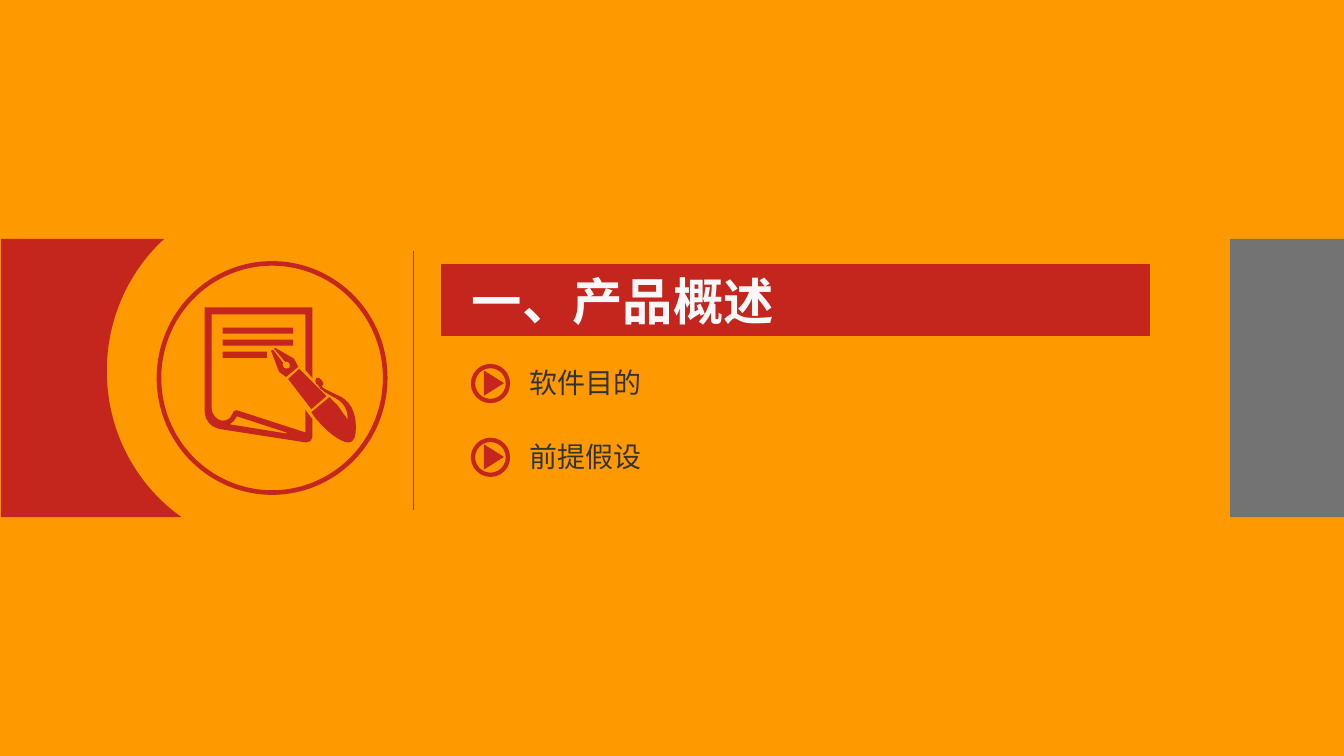
from dataclasses import dataclass
from lxml.etree import SubElement
from pptx import Presentation
from pptx.dml.color import RGBColor
from pptx.enum.shapes import MSO_CONNECTOR, MSO_SHAPE
from pptx.enum.text import MSO_ANCHOR, MSO_AUTO_SIZE, PP_ALIGN
from pptx.oxml.ns import qn
from pptx.util import Cm, Pt


@dataclass(frozen=True)
class Theme:
    back: RGBColor = RGBColor(0xFF, 0x99, 0x00)
    red: RGBColor = RGBColor(0xC4, 0x26, 0x1D)
    gray: RGBColor = RGBColor(0x73, 0x73, 0x73)
    light: RGBColor = RGBColor(0xF8, 0xF8, 0xF8)
    dark: RGBColor = RGBColor(0x33, 0x33, 0x33)
    head: Pt = Pt(36)
    item: Pt = Pt(20)
    gap: Pt = Pt(28.6)
    rule: Pt = Pt(0.75)
    cjk: str = "Noto Sans CJK SC"
    latin: str = "Arial"


THEME = Theme()
TITLE = "一、产品概述"
ITEMS = ["软件目的", "前提假设"]

# Places in cm: left, top, width, height
BAR = (11.14, 6.66, 17.83, 1.8)
BLOCK = (31.01, 6.02, 2.87, 7.01)
RING = (3.95, 6.58, 5.82, 5.89)
LIST = (13.34, 9.22, 12, 3)
MARK = (11.87, 9.17, 0.99, 0.99)
ARROW = (12.13, 9.4, 0.64, 0.51)
PITCH = 1.86
RULE_X, RULE_TOP, RULE_END = 10.43, 6.32, 12.85

# Outlines on a grid of 0.0254 cm: a pair is a corner,
# six numbers are a curve with two handles and its end.
UNIT = Cm(2.54) / 100


def box(left, top, right, end):
    return [(left, top), (right, top), (right, end), (left, end)]


WING = [[
    (1, 237), (163, 237), (128, 269, 106, 316, 106, 368),
    (106, 428, 135, 481, 180, 513), (1, 513),
]]
LINES = [box(221, 349, 265, 355), box(221, 337, 291, 343), box(221, 325, 291, 331)]
PAGE = [
    (203, 403), (203, 409, 203, 414, 207, 419), (210, 423, 214, 425, 220, 426),
    (304, 439), (307, 439, 310, 437, 310, 434), (310, 416),
    (308, 413, 305, 410, 303, 406), (303, 429), (235, 407),
    (234, 407, 233, 407, 232, 408), (231, 411, 229, 413, 228, 415),
    (223, 419, 217, 418, 213, 413), (210, 409, 210, 406, 210, 402),
    (210, 312), (303, 312), (303, 367), (310, 375), (310, 305), (203, 305),
]
FOLD = [
    (228, 421), (284, 430), (285, 430, 285, 429, 284, 429), (235, 413),
    (233, 417, 231, 419, 228, 421),
]
BARREL = [(297, 366), (324, 393), (309, 406), (286, 376)]
CAP = [
    (352, 434), (353, 432, 353, 431, 353, 429), (354, 417, 352, 400, 337, 393),
    (333, 391, 324, 387, 321, 385), (320, 384, 319, 384, 319, 383),
    (319, 383, 320, 383, 320, 383), (322, 381, 321, 379, 319, 377),
    (318, 375, 315, 374, 314, 375), (312, 376, 313, 379, 314, 381),
    (315, 382, 315, 382, 316, 382), (316, 383, 316, 384, 317, 384),
    (317, 385, 318, 386, 320, 387), (323, 390, 328, 392, 333, 395),
    (342, 400, 345, 407, 345, 415), (345, 416, 345, 416, 344, 415),
    (343, 414, 343, 414, 343, 413), (340, 410, 338, 406, 335, 402),
    (332, 399, 329, 397, 327, 394), (309, 409),
    (311, 412, 313, 415, 316, 418), (326, 430, 338, 438, 345, 439),
    (349, 439, 351, 437, 352, 434),
]
NIB = [
    (292, 356), (273, 345), (272, 346), (283, 359),
    (284, 358, 286, 359, 287, 360), (288, 362, 288, 364, 287, 365),
    (285, 366, 283, 366, 282, 365), (280, 363, 280, 361, 281, 360),
    (271, 347), (269, 348), (277, 369), (284, 374), (296, 364),
]
ICON = LINES + [PAGE, FOLD, BARREL, CAP, NIB]


def trace(outline):
    """List every corner, handle and curve end in EMU."""
    flat = [round(value * UNIT) for part in outline for value in part]
    return list(zip(flat[::2], flat[1::2]))


def bend(shape, outlines):
    """Join the three segments of each curve into one cubic."""
    nodes = shape._element.iter(qn("a:moveTo"), qn("a:lnTo"))
    nodes = iter(list(nodes))
    for outline in outlines:
        for part in outline:
            node = next(nodes)
            if len(part) == 6:
                node.tag = qn("a:cubicBezTo")
                for spare in (next(nodes), next(nodes)):
                    node.append(spare[0])
                    spare.getparent().remove(spare)


def paint(shape, color):
    shape.shadow.inherit = False
    shape.fill.solid()
    shape.fill.fore_color.rgb = color
    shape.line.fill.background()


def draw(slide, outlines):
    first, *rest = [trace(outline) for outline in outlines]
    pen = slide.shapes.build_freeform(*first[0])
    pen.add_line_segments(first[1:])
    for dots in rest:
        pen.move_to(*dots[0])
        pen.add_line_segments(dots[1:])
    shape = pen.convert_to_shape()
    bend(shape, outlines)
    paint(shape, THEME.red)


def add(slide, kind, place, color=THEME.red, down=0):
    left, top, width, height = place
    shape = slide.shapes.add_shape(kind, Cm(left), Cm(top + down), Cm(width), Cm(height))
    paint(shape, color)
    return shape


def fit(holder, place, inset, anchor):
    holder.left, holder.top, holder.width, holder.height = map(Cm, place)
    frame = holder.text_frame
    frame.auto_size = MSO_AUTO_SIZE.NONE
    frame.word_wrap = True
    frame.vertical_anchor = anchor
    frame.margin_left = Cm(inset)
    frame.margin_right = frame.margin_top = frame.margin_bottom = 0
    return frame


def style(para, size, color, latin, bold=False):
    para.alignment = PP_ALIGN.LEFT
    for run in para.runs:
        font = run.font
        font.size, font.bold, font.name = size, bold, latin
        font.color.rgb = color
        SubElement(run._r.rPr, qn("a:ea")).set("typeface", THEME.cjk)


def add_title(slide):
    title = slide.shapes.title
    frame = fit(title, BAR, 0.75, MSO_ANCHOR.MIDDLE)
    paint(title, THEME.red)
    title.line.color.rgb = THEME.red
    title.line.width = THEME.rule
    frame.text = TITLE
    style(frame.paragraphs[0], THEME.head, THEME.light, THEME.cjk, True)


def add_list(slide):
    frame = fit(slide.placeholders[1], LIST, 0, MSO_ANCHOR.TOP)
    frame.text = "\n".join(ITEMS)
    for row, para in enumerate(frame.paragraphs):
        para.space_before = THEME.gap if row else Pt(0)
        style(para, THEME.item, THEME.dark, THEME.latin)
        props = para._p.get_or_add_pPr()
        props.set("marL", "0")
        props.set("indent", "0")
        SubElement(props, qn("a:buNone"))
        down = row * PITCH
        add(slide, MSO_SHAPE.DONUT, MARK, down=down).adjustments[0] = 0.11
        add(slide, MSO_SHAPE.ISOSCELES_TRIANGLE, ARROW, down=down).rotation = 90


def add_rule(slide):
    rule = slide.shapes.add_connector(
        MSO_CONNECTOR.STRAIGHT, Cm(RULE_X), Cm(RULE_END), Cm(RULE_X), Cm(RULE_TOP))
    rule.line.color.rgb = THEME.red
    rule.line.width = THEME.rule
    SubElement(rule._element.spPr, qn("a:effectLst"))


def main():
    deck = Presentation()
    deck.slide_width, deck.slide_height = Cm(33.88), Cm(19.05)
    slide = deck.slides.add_slide(deck.slide_layouts[1])
    slide.background.fill.solid()
    slide.background.fill.fore_color.rgb = THEME.back
    add_title(slide)
    add_rule(slide)
    draw(slide, WING)
    add(slide, MSO_SHAPE.RECTANGLE, BLOCK, THEME.gray)
    add_list(slide)
    add(slide, MSO_SHAPE.DONUT, RING).adjustments[0] = 0.02
    draw(slide, ICON)
    deck.save("out.pptx")


if __name__ == "__main__":
    main()
